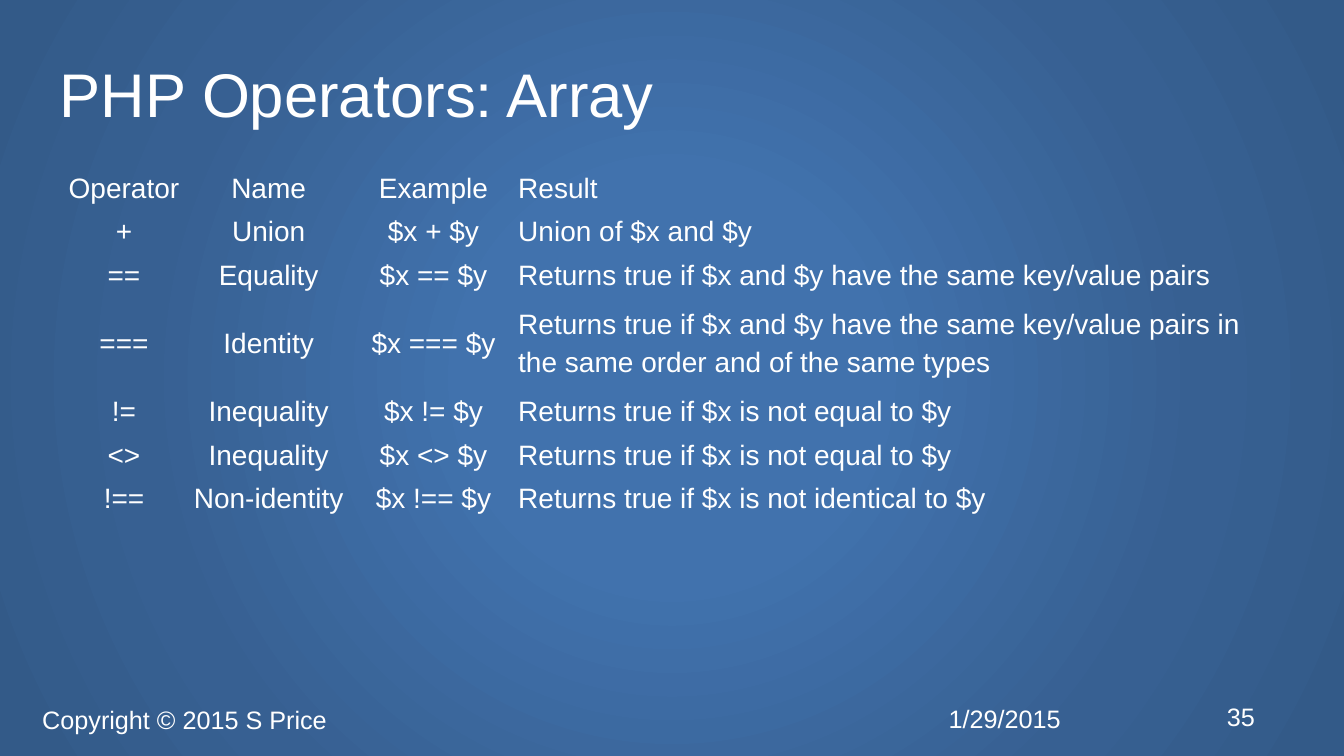
from lxml import etree
from pptx import Presentation
from pptx.dml.color import RGBColor
from pptx.enum.text import MSO_ANCHOR, MSO_AUTO_SIZE, PP_ALIGN
from pptx.oxml.ns import qn
from pptx.util import Inches, Pt

MIDDLE = MSO_ANCHOR.MIDDLE
FIXED = MSO_AUTO_SIZE.NONE
LEFT, CENTER = PP_ALIGN.LEFT, PP_ALIGN.CENTER

FONT = "Arial"
WHITE = RGBColor(0xFF, 0xFF, 0xFF)
BLUE = RGBColor(0x41, 0x72, 0xAD)
DUSK = RGBColor(0x37, 0x60, 0x92)
EDGE = RGBColor(0x33, 0x5A, 0x88)
GLOW = [(0, BLUE), (26, BLUE), (69, DUSK), (97, EDGE)]

MARGIN, WIDTH = 0.59, 12
COLS = [1.28, 1.59, 1.68, 7.45]
ROW, TALL = 0.435, 0.91
TALL_ROW = 3

ROWS = [
    ("Operator", "Name", "Example", "Result"),
    ("+", "Union", "$x + $y", "Union of $x and $y"),
    ("==", "Equality", "$x == $y",
     "Returns true if $x and $y have the same key/value pairs"),
    ("===", "Identity", "$x === $y",
     "Returns true if $x and $y have the same key/value pairs in the same "
     "order and of the same types"),
    ("!=", "Inequality", "$x != $y", "Returns true if $x is not equal to $y"),
    ("<>", "Inequality", "$x <> $y", "Returns true if $x is not equal to $y"),
    ("!==", "Non-identity", "$x !== $y",
     "Returns true if $x is not identical to $y"),
]

FOOTER = [
    ("1/29/2015", 9.31, 6.92, 1.75),
    ("Copyright © 2015 S Price", 0.32, 6.93, 8.99),
    ("35", 12.07, 6.9, 0.6),
]


def write(frame, text, size, align=LEFT, space=1.0):
    frame.text = text
    frame.word_wrap = True
    para = frame.paragraphs[0]
    para.alignment = align
    para.line_spacing = space
    font = para.runs[0].font
    font.name, font.size = FONT, Pt(size)
    font.color.rgb = WHITE


def clear_inset(box):
    """Take away the inner margins of a cell or text frame."""
    box.margin_left = box.margin_right = 0
    box.margin_top = box.margin_bottom = 0
    box.vertical_anchor = MIDDLE


def paint_back(slide):
    """Fill the background with a glow that spreads from the centre."""
    slide.background.fill.gradient()
    grad = slide.element.find(".//" + qn("a:gradFill"))
    for child in list(grad):
        grad.remove(child)
    stops = etree.SubElement(grad, qn("a:gsLst"))
    for share, color in GLOW:
        stop = etree.SubElement(stops, qn("a:gs"), pos=str(share * 1000))
        etree.SubElement(stop, qn("a:srgbClr"), val=str(color))
    ring = etree.SubElement(grad, qn("a:path"), path="circle")
    sides = dict.fromkeys("ltrb", "50000")
    etree.SubElement(ring, qn("a:fillToRect"), **sides)


def add_title(slide, text):
    title = slide.shapes.title
    title.left, title.top = Inches(MARGIN), Inches(0.34)
    title.width, title.height = Inches(WIDTH), Inches(1.25)
    frame = title.text_frame
    clear_inset(frame)
    write(frame, text, 44, space=0.9)
    frame.auto_size = FIXED


def add_note(slide, text, left, top, width):
    box = slide.shapes.add_textbox(
        Inches(left), Inches(top), Inches(width), Inches(0.41))
    box.text_frame.vertical_anchor = MIDDLE
    write(box.text_frame, text, 18)


def strip_cell(cell):
    """Leave a cell with neither fill nor borders."""
    cell.fill.background()
    props = cell._tc.get_or_add_tcPr()
    for spot, side in enumerate(("lnL", "lnR", "lnT", "lnB")):
        line = etree.Element(qn("a:" + side), w="0")
        etree.SubElement(line, qn("a:noFill"))
        props.insert(spot, line)


def add_grid(slide):
    heights = [TALL if i == TALL_ROW else ROW for i in range(len(ROWS))]
    table = slide.shapes.add_table(
        len(ROWS), len(COLS), Inches(MARGIN), Inches(1.62),
        Inches(WIDTH), Inches(sum(heights))).table
    table.first_row = table.horz_banding = False
    for col, width in zip(table.columns, COLS):
        col.width = Inches(width)
    for row, height, texts in zip(table.rows, heights, ROWS):
        row.height = Inches(height)
        for i, (cell, text) in enumerate(zip(row.cells, texts)):
            last = i == len(COLS) - 1
            clear_inset(cell)
            write(cell.text_frame, text, 20, LEFT if last else CENTER, 1.2)
            strip_cell(cell)


def main():
    deck = Presentation()
    deck.slide_width, deck.slide_height = Inches(13.33), Inches(7.5)
    slide = deck.slides.add_slide(deck.slide_layouts.get_by_name("Title Only"))
    paint_back(slide)
    add_title(slide, "PHP Operators: Array")
    for note in FOOTER:
        add_note(slide, *note)
    add_grid(slide)
    deck.save("out.pptx")


if __name__ == "__main__":
    main()
